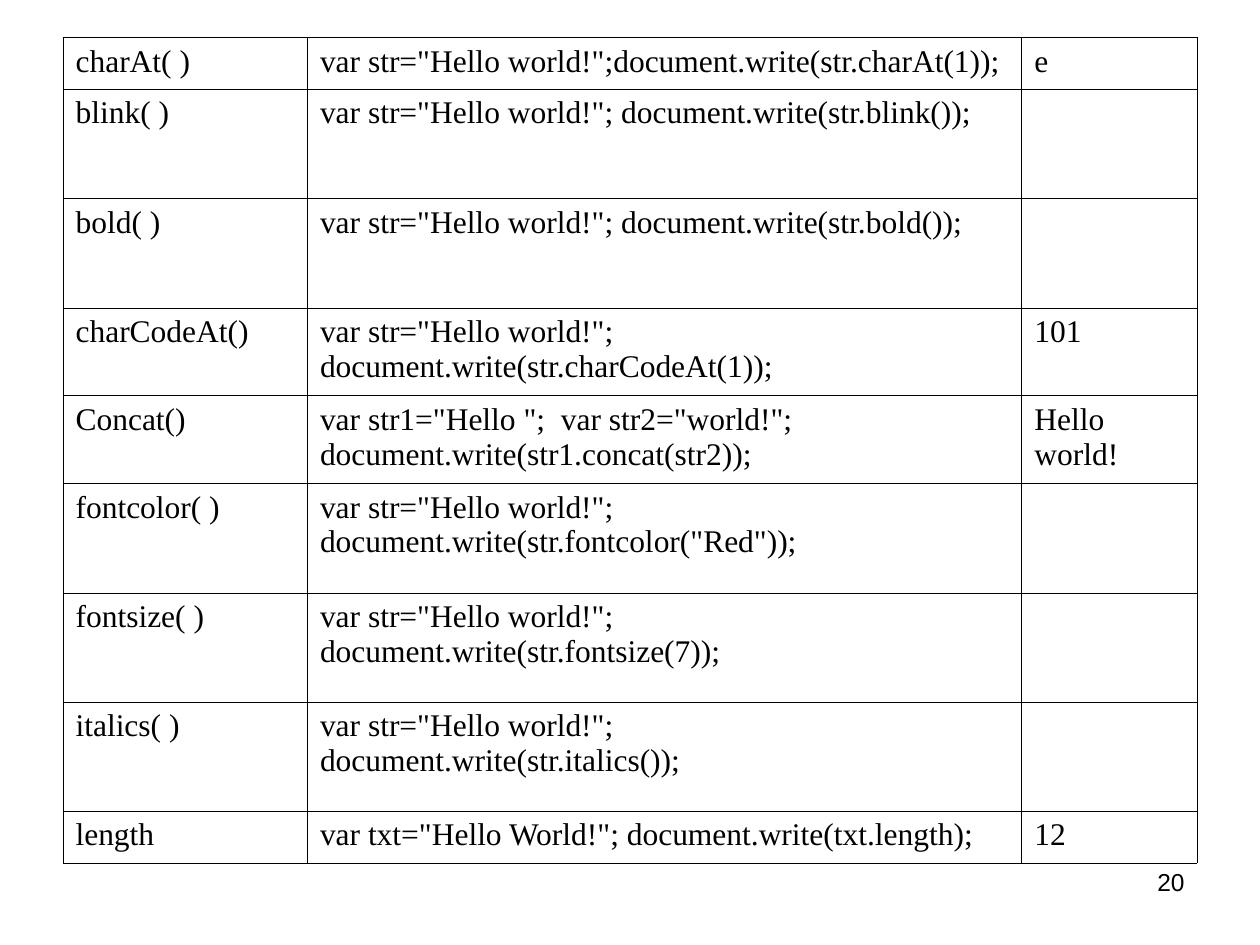
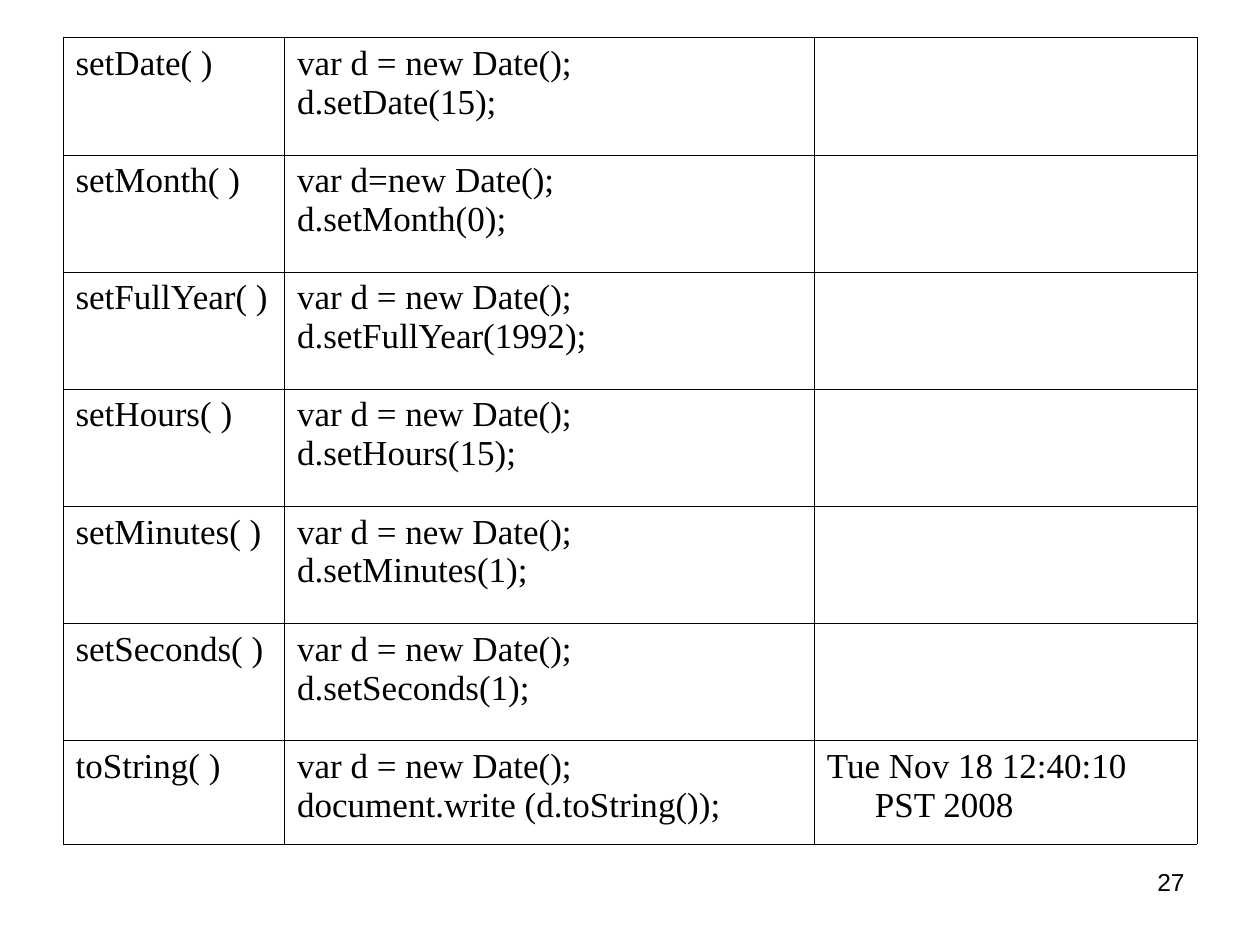
from lxml.etree import SubElement
from pptx import Presentation
from pptx.dml.color import RGBColor
from pptx.enum.text import PP_ALIGN
from pptx.oxml.ns import qn
from pptx.util import Inches, Pt

BLACK = RGBColor(0x00, 0x00, 0x00)
COLUMNS, ROWS = 100, 75  # layout grid of the slide
TABLE_LEFT, TABLE_TOP, TABLE_WIDTH = 5, 3, 90
NUMBER_BOX = (71.7, 68.3, 23.3, 5.2)
BORDER = Pt(0.45)
HANGING = Inches(0.38)

HELLO = 'var str="Hello world!";'
NEW_DATE = "var d = new Date();"

STRING_METHODS = [
    ("charAt( )", HELLO + "document.write(str.charAt(1));", "e"),
    ("blink( )", HELLO + " document.write(str.blink());", ""),
    ("bold( )", HELLO + " document.write(str.bold());", ""),
    ("charCodeAt()", HELLO + "\ndocument.write(str.charCodeAt(1));", "101"),
    ("Concat()", 'var str1="Hello ";  var str2="world!";\n'
                 "document.write(str1.concat(str2));", "Hello world!"),
    ("fontcolor( )", HELLO + '\ndocument.write(str.fontcolor("Red"));', ""),
    ("fontsize( )", HELLO + " document.write(str.fontsize(7));", ""),
    ("italics( )", HELLO + "\ndocument.write(str.italics());", ""),
    ("length", 'var txt="Hello World!"; document.write(txt.length);', "12"),
]
DATE_METHODS = [
    ("setDate( )", NEW_DATE + "\nd.setDate(15);", ""),
    ("setMonth( )", "var d=new Date();\nd.setMonth(0);", ""),
    ("setFullYear( )", NEW_DATE + "\nd.setFullYear(1992);", ""),
    ("setHours( )", NEW_DATE + "\nd.setHours(15);", ""),
    ("setMinutes( )", NEW_DATE + "\nd.setMinutes(1);", ""),
    ("setSeconds( )", NEW_DATE + "\nd.setSeconds(1);", ""),
    ("toString( )", NEW_DATE + "\ndocument.write (d.toString());",
     "Tue Nov 18 12:40:10 PST 2008"),
]


class Deck:
    """Holds the shared style and the current slide."""

    def __init__(self):
        self.prs = Presentation()
        self.prs.slide_width, self.prs.slide_height = Inches(10), Inches(7.5)
        self.s = None

    def x(self, columns):
        return round(self.prs.slide_width * columns / COLUMNS)

    def y(self, rows):
        return round(self.prs.slide_height * rows / ROWS)

    def add_slide(self):
        self.s = self.prs.slides.add_slide(self.prs.slide_layouts[6])

    def set_text(self, tf, text, font, size, align=PP_ALIGN.LEFT, hanging=0):
        style = {"name": font, "size": Pt(size)}
        tf.word_wrap = True
        tf.text = text
        for p in tf.paragraphs:
            p.alignment = align
            if hanging:
                pPr = p._p.get_or_add_pPr()
                pPr.set("marL", str(hanging))
                pPr.set("indent", str(-hanging))
            for r in p.runs:
                for key, value in style.items():
                    setattr(r.font, key, value)
                r.font.color.rgb = BLACK

    def outline(self, cell):
        cell.fill.background()
        tcPr = cell._tc.get_or_add_tcPr()
        for i, side in enumerate(("lnL", "lnR", "lnT", "lnB")):
            ln = SubElement(tcPr, qn("a:" + side), w=str(BORDER))
            fill = SubElement(ln, qn("a:solidFill"))
            SubElement(fill, qn("a:srgbClr"), val=str(BLACK))
            tcPr.insert(i, ln)  # borders come before the fill

    def table(self, data, height, col_shares, row_shares, size, hanging=0):
        width, height = self.x(TABLE_WIDTH), self.y(height)
        table = self.s.shapes.add_table(
            len(data), len(col_shares), self.x(TABLE_LEFT), self.y(TABLE_TOP),
            width, height).table
        table.first_row = table.horz_banding = False
        for col, share in zip(table.columns, col_shares):
            col.width = round(width * share / sum(col_shares))
        for row, share, texts in zip(table.rows, row_shares, data):
            row.height = round(height * share / sum(row_shares))
            for cell, text in zip(row.cells, texts):
                self.outline(cell)
                self.set_text(cell.text_frame, text, "Times New Roman", size,
                              hanging=hanging)

    def slide_number(self, number):
        left, top, width, height = NUMBER_BOX
        sp = self.s.shapes.add_textbox(self.x(left), self.y(top),
                                       self.x(width), self.y(height))
        self.set_text(sp.text_frame, str(number), "Arial", 14, PP_ALIGN.RIGHT)


def main():
    deck = Deck()

    # String methods
    deck.add_slide()
    single, double, tall = 0.41, 0.7, 0.87
    deck.table(STRING_METHODS, 65.5, (1.94, 5.67, 1.39),
               [single] + [tall] * 2 + [double] * 2 + [tall] * 3 + [single], 18)
    deck.slide_number(20)

    # Date methods
    deck.add_slide()
    deck.table(DATE_METHODS, 64, (1.76, 4.21, 3.04), [0.93] * 6 + [0.82], 20,
               HANGING)
    deck.slide_number(27)

    deck.prs.save("out.pptx")


if __name__ == "__main__":
    main()
